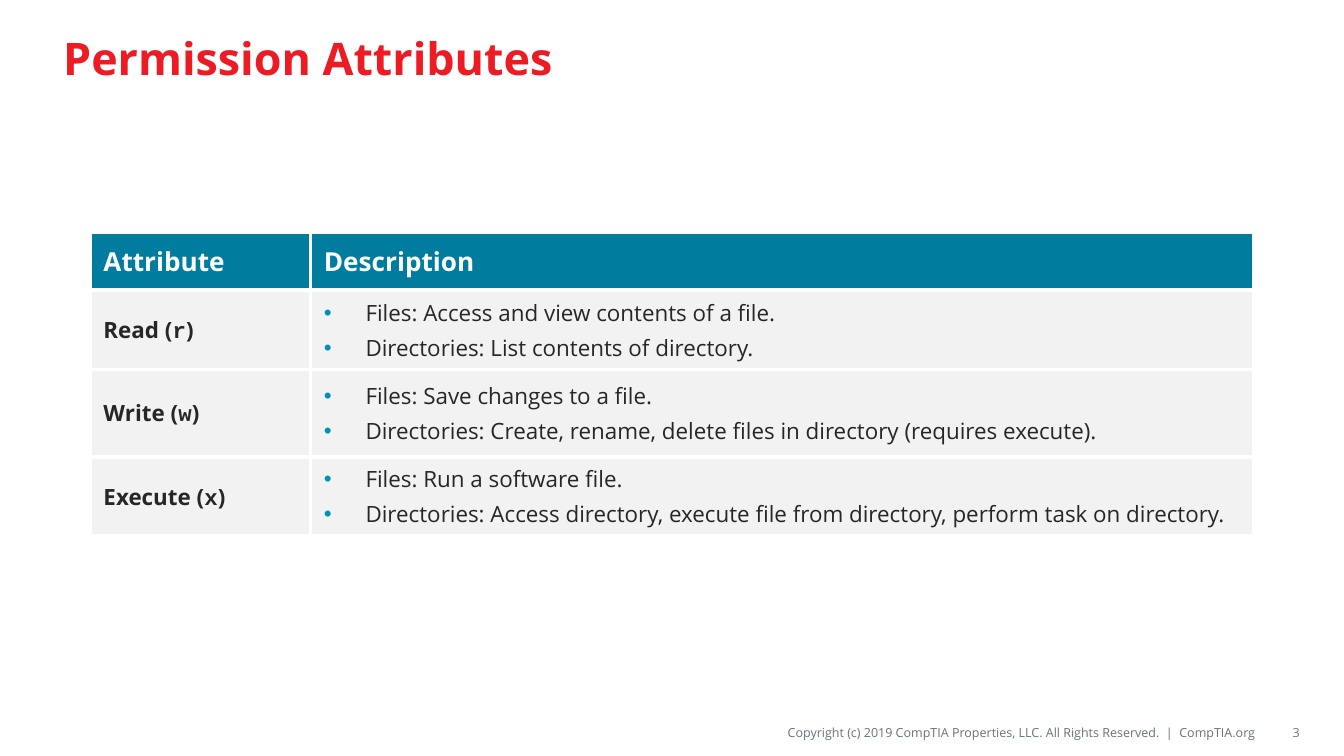
from lxml import etree
from pptx import Presentation
from pptx.dml.color import RGBColor
from pptx.enum.text import MSO_ANCHOR, PP_ALIGN
from pptx.oxml.ns import qn
from pptx.util import Inches, Pt

COLORS = {
    "title": "ED1C24", "header": "007C9E", "row": "F2F2F2", "text": "262626",
    "bullet": "0090B9", "footer": "69727B", "white": "FFFFFF",
}
FONT, CODE_FONT = "Open Sans", "Courier New"


def add_run(paragraph, text, size, color, bold=False, font=FONT):
    run = paragraph.add_run()
    run.text = text
    run.font.name = font
    run.font.size = Pt(size)
    run.font.bold = bold
    run.font.color.rgb = RGBColor.from_string(COLORS[color])


def style_cell(cell, fill):
    """Give a cell white borders, a solid fill and middle anchoring."""
    props = cell._tc.get_or_add_tcPr()
    for side in ("lnL", "lnR", "lnT", "lnB"):
        line = etree.SubElement(props, qn(f"a:{side}"), w=str(Pt(2.25)))
        solid = etree.SubElement(line, qn("a:solidFill"))
        etree.SubElement(solid, qn("a:srgbClr"), val=COLORS["white"])
    cell.fill.solid()
    cell.fill.fore_color.rgb = RGBColor.from_string(COLORS[fill])
    cell.vertical_anchor = MSO_ANCHOR.MIDDLE


prs = Presentation()
prs.slide_width = Inches(10)
prs.slide_height = Inches(10 * 9 / 16)
slide = prs.slides.add_slide(prs.slide_layouts[5])

# Title
title = slide.shapes.title
title.left, title.top = Inches(0.37), Inches(0.08)
title.width, title.height = Inches(9.25), Inches(0.69)
title.text_frame.vertical_anchor = MSO_ANCHOR.MIDDLE
heading = title.text_frame.paragraphs[0]
heading.alignment = PP_ALIGN.LEFT
add_run(heading, "Permission Attributes", 24, "title", bold=True)

# Footer
footer_parts = [
    ("Copyright (c) 2019 CompTIA Properties, LLC. All Rights Reserved.  |  CompTIA.org", 3.88, 5.47),
    ("3", 9.38, 0.29),
]
for text, left, width in footer_parts:
    footer = slide.shapes.add_textbox(Inches(left), Inches(5.34), Inches(width), Inches(0.22))
    frame = footer.text_frame
    frame.word_wrap = True
    frame.vertical_anchor = MSO_ANCHOR.MIDDLE
    frame.margin_left = frame.margin_right = 0
    frame.margin_top = frame.margin_bottom = Inches(0.04)
    frame.paragraphs[0].alignment = PP_ALIGN.RIGHT
    add_run(frame.paragraphs[0], text, 6.75, "footer")

# Permissions table
permissions = [
    ("Read", "r", ["Files: Access and view contents of a file.",
                   "Directories: List contents of directory."]),
    ("Write", "w", ["Files: Save changes to a file.",
                    "Directories: Create, rename, delete files in directory (requires execute)."]),
    ("Execute", "x", ["Files: Run a software file.",
                      "Directories: Access directory, execute file from directory, "
                      "perform task on directory."]),
]
column_widths = [1.64, 7.02]
row_heights = [0.43, 0.59, 0.65, 0.59]
table = slide.shapes.add_table(
    len(row_heights), len(column_widths), Inches(0.67), Inches(1.73),
    Inches(sum(column_widths)), Inches(sum(row_heights))).table
table.horz_banding = False
for column, width in zip(table.columns, column_widths):
    column.width = Inches(width)
for row, height in zip(table.rows, row_heights):
    row.height = Inches(height)

for col, label in enumerate(["Attribute", "Description"]):
    cell = table.cell(0, col)
    style_cell(cell, "header")
    add_run(cell.text_frame.paragraphs[0], label, 14, "white", bold=True)

for row, (attribute, letter, uses) in enumerate(permissions, start=1):
    name_cell, uses_cell = table.cell(row, 0), table.cell(row, 1)
    style_cell(name_cell, "row")
    style_cell(uses_cell, "row")

    name = name_cell.text_frame.paragraphs[0]
    for text, font in [(f"{attribute} (", FONT), (letter, CODE_FONT), (")", FONT)]:
        add_run(name, text, 12, "text", bold=True, font=font)

    for i, use in enumerate(uses):
        frame = uses_cell.text_frame
        bullet = frame.add_paragraph() if i else frame.paragraphs[0]
        props = bullet._p.get_or_add_pPr()
        props.set("marL", str(Inches(0.31)))
        props.set("indent", str(-Inches(0.31)))
        bullet_color = etree.SubElement(props, qn("a:buClr"))
        etree.SubElement(bullet_color, qn("a:srgbClr"), val=COLORS["bullet"])
        etree.SubElement(props, qn("a:buFont"), typeface="Arial")
        etree.SubElement(props, qn("a:buChar"), char="•")
        if i:
            bullet.space_before = Pt(2.4)
        add_run(bullet, use, 12, "text")

prs.save("out.pptx")
